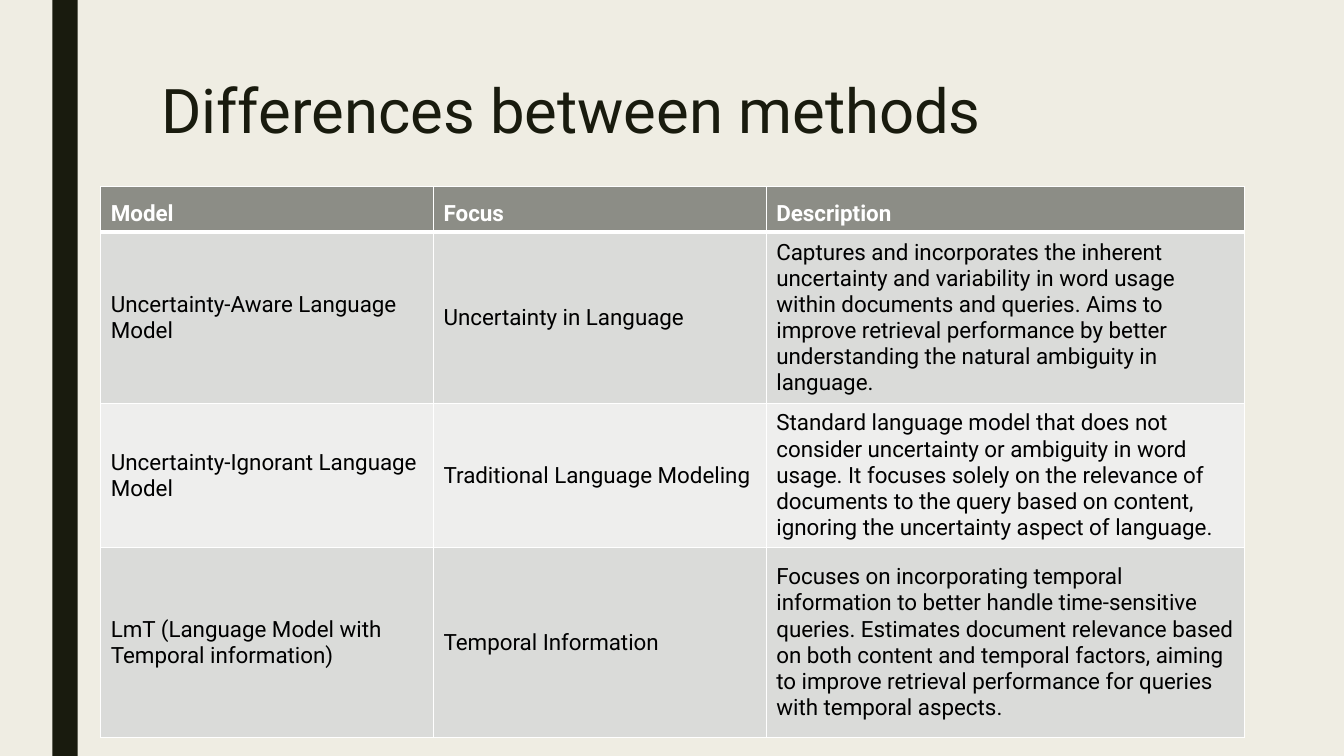
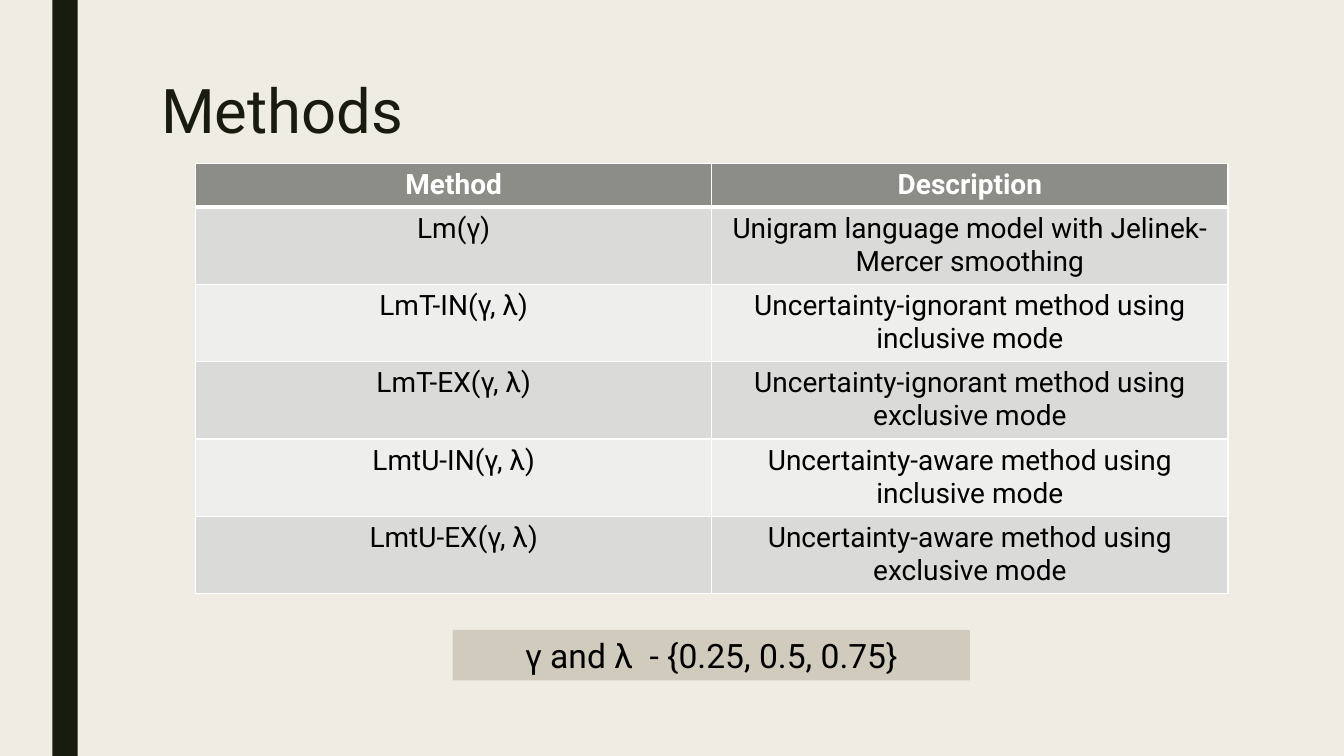
"""Build a two-slide deck that compares language-model retrieval methods."""
from dataclasses import dataclass
from typing import Optional

from lxml.etree import SubElement
from pptx import Presentation
from pptx.dml.color import RGBColor
from pptx.enum.shapes import MSO_SHAPE
from pptx.enum.text import MSO_ANCHOR, PP_ALIGN
from pptx.oxml.ns import qn
from pptx.presentation import Presentation as Deck
from pptx.shapes.autoshape import Shape
from pptx.slide import Slide
from pptx.table import _Cell
from pptx.text.text import TextFrame
from pptx.util import Inches, Pt


@dataclass(frozen=True)
class Theme:
    font: str = "Roboto"
    background: str = "EFEDE3"
    ink: str = "191B0E"
    body: str = "000000"
    white: str = "FFFFFF"
    header: str = "8C8D86"
    stripes: tuple[str, str] = ("DADBD9", "EEEEED")
    note: str = "D1CBBE"
    title_size: int = 44
    note_size: int = 24
    title_spacing: float = 0.89
    thin_border: int = 1
    header_border: int = 3


THEME = Theme()


@dataclass(frozen=True)
class Area:
    left: float
    top: float
    width: float
    height: float

    def lengths(self) -> tuple[Inches, Inches, Inches, Inches]:
        return Inches(self.left), Inches(self.top), Inches(self.width), Inches(self.height)


@dataclass(frozen=True)
class TableContent:
    left: float
    top: float
    columns: tuple[float, ...]
    row_heights: tuple[float, ...]
    rows: tuple[tuple[str, ...], ...]
    size: int
    align: PP_ALIGN = PP_ALIGN.LEFT
    header_anchor: MSO_ANCHOR = MSO_ANCHOR.TOP
    body_anchor: MSO_ANCHOR = MSO_ANCHOR.TOP


@dataclass(frozen=True)
class Page:
    title: str
    table: TableContent
    note: Optional[str] = None


BAND = Area(0.52, 0, 0.25, 7.5)
TITLE = Area(1.5, 0.75, 10.5, 1.34)
NOTE = Area(4.49, 6.25, 5.13, 0.5)

PAGES = (
    Page(
        "Differences between methods",
        TableContent(
            left=1,
            top=1.85,
            columns=(3.3, 3.3, 4.74),
            row_heights=(0.45, 1.65, 1.4, 1.88),
            rows=(
                ("Model", "Focus", "Description"),
                (
                    "Uncertainty-Aware Language Model",
                    "Uncertainty in Language",
                    "Captures and incorporates the inherent uncertainty and variability in word "
                    "usage within documents and queries. Aims to improve retrieval performance "
                    "by better understanding the natural ambiguity in language.",
                ),
                (
                    "Uncertainty-Ignorant Language Model",
                    "Traditional Language Modeling",
                    "Standard language model that does not consider uncertainty or ambiguity in "
                    "word usage. It focuses solely on the relevance of documents to the query "
                    "based on content, ignoring the uncertainty aspect of language.",
                ),
                (
                    "LmT (Language Model with Temporal information)",
                    "Temporal Information",
                    "Focuses on incorporating temporal information to better handle "
                    "time-sensitive queries. Estimates document relevance based on both content "
                    "and temporal factors, aiming to improve retrieval performance for queries "
                    "with temporal aspects.",
                ),
            ),
            size=16,
            header_anchor=MSO_ANCHOR.BOTTOM,
            body_anchor=MSO_ANCHOR.MIDDLE,
        ),
    ),
    Page(
        "Methods",
        TableContent(
            left=1.94,
            top=1.62,
            columns=(5.12, 5.12),
            row_heights=(0.43,) + (0.75,) * 5,
            rows=(
                ("Method", "Description"),
                ("Lm(γ)", "Unigram language model with Jelinek-Mercer smoothing"),
                ("LmT-IN(γ, λ)", "Uncertainty-ignorant method using inclusive mode"),
                ("LmT-EX(γ, λ)", "Uncertainty-ignorant method using exclusive mode"),
                ("LmtU-IN(γ, λ)", "Uncertainty-aware method using inclusive mode"),
                ("LmtU-EX(γ, λ)", "Uncertainty-aware method using exclusive mode"),
            ),
            size=20,
            align=PP_ALIGN.CENTER,
        ),
        note="γ and λ  - {0.25, 0.5, 0.75}",
    ),
)


def write_text(
    frame: TextFrame,
    text: str,
    *,
    size: int,
    color: str = THEME.body,
    bold: bool = False,
    align: PP_ALIGN = PP_ALIGN.LEFT,
    spacing: Optional[float] = None,
) -> None:
    frame.word_wrap = True
    para = frame.paragraphs[0]
    para.alignment = align
    para.line_spacing = spacing
    span = para.add_run()
    span.text = text
    span.font.name = THEME.font
    span.font.size = Pt(size)
    span.font.bold = bold
    span.font.color.rgb = RGBColor.from_string(color)


def add_rectangle(page: Slide, area: Area, color: str) -> Shape:
    box = page.shapes.add_shape(MSO_SHAPE.RECTANGLE, *area.lengths())
    box.shadow.inherit = False
    box.fill.solid()
    box.fill.fore_color.rgb = RGBColor.from_string(color)
    box.line.fill.background()
    return box


def add_title(page: Slide, text: str) -> None:
    box = page.shapes.add_textbox(*TITLE.lengths())
    write_text(
        box.text_frame, text, size=THEME.title_size, color=THEME.ink, spacing=THEME.title_spacing
    )


def set_borders(cell: _Cell, *, top: int, bottom: int) -> None:
    properties = cell._tc.get_or_add_tcPr()
    widths = {"lnL": THEME.thin_border, "lnR": THEME.thin_border, "lnT": top, "lnB": bottom}
    for side, width in widths.items():
        line = SubElement(properties, qn(f"a:{side}"), w=str(Pt(width)))
        fill = SubElement(line, qn("a:solidFill"))
        SubElement(fill, qn("a:srgbClr"), val=THEME.white)


def add_table(page: Slide, content: TableContent) -> None:
    area = Area(content.left, content.top, sum(content.columns), sum(content.row_heights))
    table = page.shapes.add_table(
        len(content.rows), len(content.columns), *area.lengths()
    ).table
    for column, width in zip(table.columns, content.columns):
        column.width = Inches(width)
    for row_index, (row, height, texts) in enumerate(
        zip(table.rows, content.row_heights, content.rows)
    ):
        row.height = Inches(height)
        is_header = row_index == 0
        fill = THEME.header if is_header else THEME.stripes[(row_index - 1) % 2]
        for cell, text in zip(row.cells, texts):
            set_borders(
                cell,
                top=THEME.header_border if row_index == 1 else THEME.thin_border,
                bottom=THEME.header_border if is_header else THEME.thin_border,
            )
            cell.fill.solid()
            cell.fill.fore_color.rgb = RGBColor.from_string(fill)
            cell.vertical_anchor = content.header_anchor if is_header else content.body_anchor
            write_text(
                cell.text_frame,
                text,
                size=content.size,
                color=THEME.white if is_header else THEME.body,
                bold=is_header,
                align=content.align,
            )


def add_page(deck: Deck, content: Page) -> None:
    page = deck.slides.add_slide(deck.slide_layouts[6])
    page.background.fill.solid()
    page.background.fill.fore_color.rgb = RGBColor.from_string(THEME.background)
    add_rectangle(page, BAND, THEME.ink)
    add_title(page, content.title)
    add_table(page, content.table)
    if content.note:
        box = add_rectangle(page, NOTE, THEME.note)
        write_text(box.text_frame, content.note, size=THEME.note_size, align=PP_ALIGN.CENTER)


def main() -> None:
    deck = Presentation()
    deck.slide_width = Inches(13.33)
    deck.slide_height = Inches(7.5)
    for content in PAGES:
        add_page(deck, content)
    deck.save("out.pptx")


if __name__ == "__main__":
    main()
